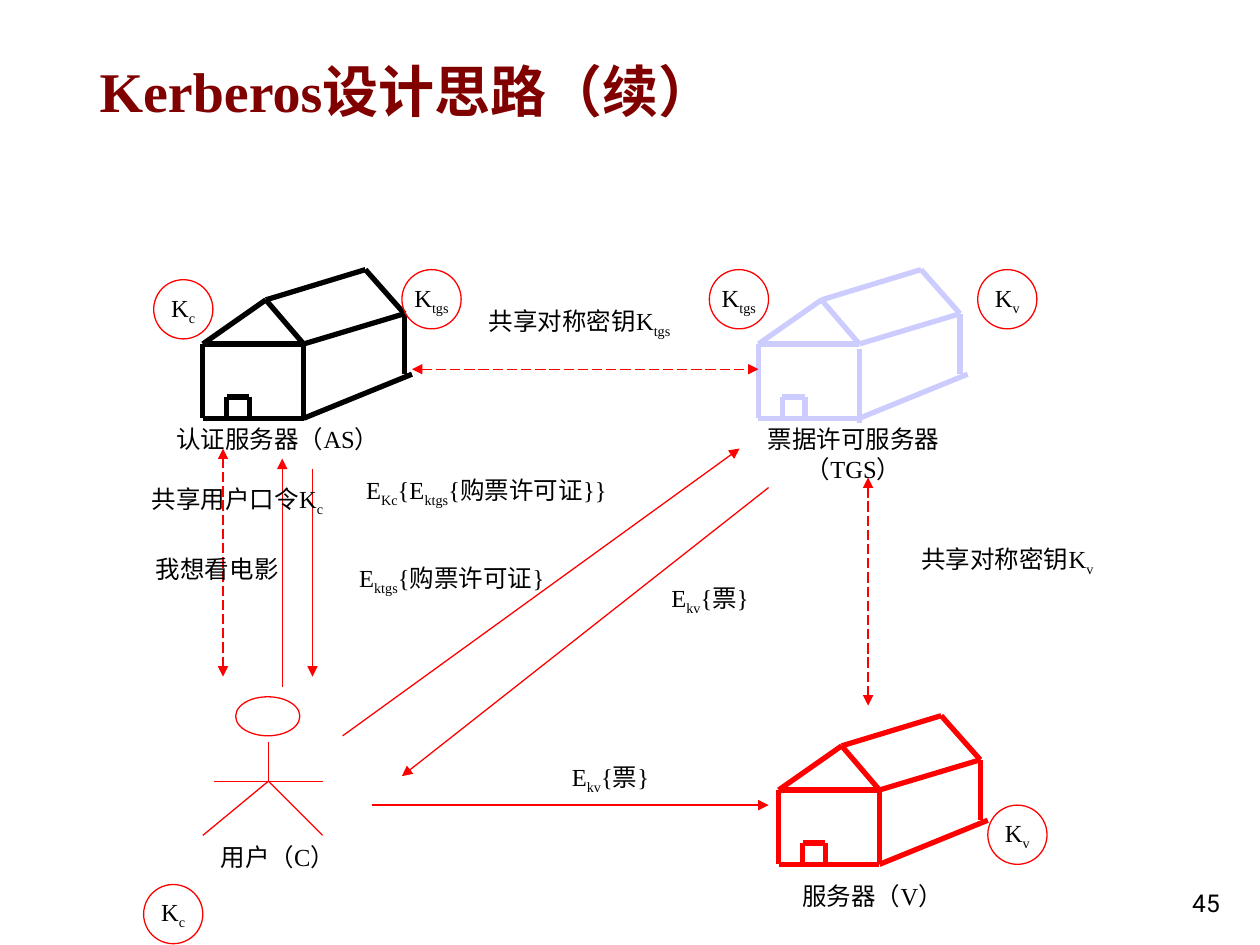
from lxml.etree import SubElement as Sub
from pptx import Presentation
from pptx.dml.color import RGBColor as Rgb
from pptx.enum.dml import MSO_LINE as Dash
from pptx.enum.shapes import MSO_CONNECTOR as Conn, MSO_SHAPE as Form
from pptx.enum.text import MSO_ANCHOR as Anchor, MSO_AUTO_SIZE as Fit, PP_ALIGN as Align
from pptx.oxml.ns import qn
from pptx.util import Emu, Pt

PX = 9144
HUE = {"title": "800000", "text": "000000", "red": "FF0000",
       "black": "000000", "lilac": "CCCCFF"}
SERIF = "Times New Roman"


def px(*nums):
    """Turn px lengths, 100 to the inch, into EMU."""
    return [Emu(num * PX) for num in nums]


def put(obj, vals):
    """Set each attribute of obj from a dict."""
    for name, val in vals.items():
        setattr(obj, name, val)


def write(frame, text, size=14, face=SERIF, hue="text", bold=False, align=Align.CENTER):
    """Write one paragraph in which the parts between underscores are subscripts."""
    para = frame.paragraphs[0]
    para.alignment = align
    for num, part in enumerate(text.split("_")):
        if part:
            run = para.add_run()
            run.text = part
            put(run.font, {"size": Pt(size), "name": face, "bold": bold})
            run.font.color.rgb = Rgb.from_string(HUE[hue])
            if num % 2:
                run.font._element.set("baseline", "-25000")


def label(slide, box, text, **look):
    """Add a centred label that grows with its text."""
    frame = slide.shapes.add_textbox(*px(*box)).text_frame
    put(frame, {"word_wrap": True, "auto_size": Fit.SHAPE_TO_FIT_TEXT})
    write(frame, text, **look)
    return frame


def line(shapes, start, end, hue="red", width=0.75, dash=None, tips=()):
    """Add a straight line with the given dash and arrow tips."""
    conn = shapes.add_connector(Conn.STRAIGHT, *px(*start, *end))
    conn.line.color.rgb = Rgb.from_string(HUE[hue])
    put(conn.line, {"width": Pt(width), "dash_style": dash})
    props = conn._element.spPr
    for tip in tips:
        Sub(props.find(qn("a:ln")), qn(f"a:{tip}"), type="triangle")
    Sub(props, qn("a:effectLst"))


def sketch(shapes, left, top, pairs, **look):
    """Draw lines between pairs of points relative to a corner."""
    for start, end in pairs:
        line(shapes, *((left + x, top + y) for x, y in (start, end)), **look)


def oval(shapes, box):
    """Add an empty red oval."""
    ring = shapes.add_shape(Form.OVAL, *px(*box))
    ring.shadow.inherit = False
    ring.fill.background()
    ring.line.color.rgb = Rgb.from_string(HUE["red"])
    ring.line.width = Pt(0.75)
    return ring


def house(slide, left, top, hue, drop=0):
    """Draw a house, with its middle wall lowered by drop."""
    peak, ridge = (50, 24), (129, 0)
    west, mid, east = (0, 59), (80, 59), (160, 35)
    base, foot, back, far = (0, 118), (80, 118), (160, 83), (166, 83)
    door = [(19, 118), (19, 101), (37, 101), (37, 118)]
    wall = (80, 59 + drop), (80, 118 + drop)
    pairs = [(peak, west), (peak, mid), (west, mid), (peak, ridge), (ridge, east),
             (mid, east), (west, base), wall, (base, foot), (foot, far),
             (east, back), *zip(door, door[1:])]
    sketch(slide.shapes.add_group_shape().shapes, left, top, pairs, hue=hue, width=3)


def user(slide, left, top):
    """Draw the stick figure of the user."""
    shapes = slide.shapes.add_group_shape().shapes
    hip = (52, 67)
    oval(shapes, (left + 26, top, 51, 31))
    sketch(shapes, left, top, [((52, 36), hip), (hip, (0, 110)),
                               (hip, (95, 110)), ((9, 67), (95, 67))])


def key(slide, left, top, name):
    """Draw a key as a ring around its name."""
    frame = oval(slide.shapes, (left, top, 47, 47)).text_frame
    put(frame, {"word_wrap": False, "vertical_anchor": Anchor.MIDDLE})
    write(frame, f"K_{name}_")


def heading(slide, box, text):
    """Fill and place the title."""
    title = slide.shapes.title
    put(title, dict(zip(("left", "top", "width", "height"), px(*box))))
    put(title.text_frame, {"vertical_anchor": Anchor.TOP, "word_wrap": True,
                           "auto_size": Fit.NONE})
    write(title.text_frame, text, size=32, hue="title", bold=True, align=Align.LEFT)


def number(slide, box, text):
    """Add the page number."""
    frame = label(slide, box, text, face="Roboto", align=Align.RIGHT)
    put(frame, {"auto_size": Fit.NONE, "vertical_anchor": Anchor.BOTTOM})


def main():
    """Build and save the slide."""
    deck = Presentation()
    put(deck, dict(zip(("slide_width", "slide_height"), px(1000, 750))))
    slide = deck.slides.add_slide(deck.slide_layouts[5])
    heading(slide, (69, 40, 863, 145), "Kerberos设计思路（续）")

    house(slide, 602, 214, "lilac", drop=4)
    house(slide, 618, 568, "red")
    house(slide, 161, 214, "black")
    user(slide, 161, 553)

    for start, end in [((224, 545), (224, 364)), ((248, 372), (248, 537)),
                       ((272, 584), (587, 356)), ((610, 387), (319, 616)),
                       ((295, 639), (610, 639))]:
        line(slide.shapes, start, end, tips=["tailEnd"])
    for start, end in [((327, 293), (602, 293)), ((689, 379), (689, 560)),
                       ((177, 537), (177, 356))]:
        line(slide.shapes, start, end, dash=Dash.LONG_DASH, tips=["headEnd", "tailEnd"])

    for box, text in [((579, 332, 197, 57), "票据许可服务器（TGS）"),
                      ((594, 694, 197, 34), "服务器（V）"),
                      ((122, 332, 197, 34), "认证服务器（AS）"),
                      ((122, 663, 197, 34), "用户（C）"),
                      ((90, 435, 165, 34), "我想看电影"),
                      ((256, 372, 260, 37), "E_Kc_{E_ktgs_{购票许可证}}"),
                      ((256, 442, 205, 37), "E_ktgs_{购票许可证}"),
                      ((461, 458, 205, 37), "E_kv_{票}"),
                      ((382, 600, 205, 37), "E_kv_{票}"),
                      ((350, 238, 220, 37), "共享对称密钥K_tgs_"),
                      ((689, 427, 221, 37), "共享对称密钥K_v_"),
                      ((106, 379, 165, 37), "共享用户口令K_c_")]:
        label(slide, box, text)

    for left, top, name in [(114, 702, "c"), (122, 222, "c"), (563, 214, "tgs"),
                            (784, 639, "v"), (319, 214, "tgs"), (776, 214, "v")]:
        key(slide, left, top, name)
    number(slide, (770, 683, 208, 50), "45")
    deck.save("out.pptx")


if __name__ == "__main__":
    main()
